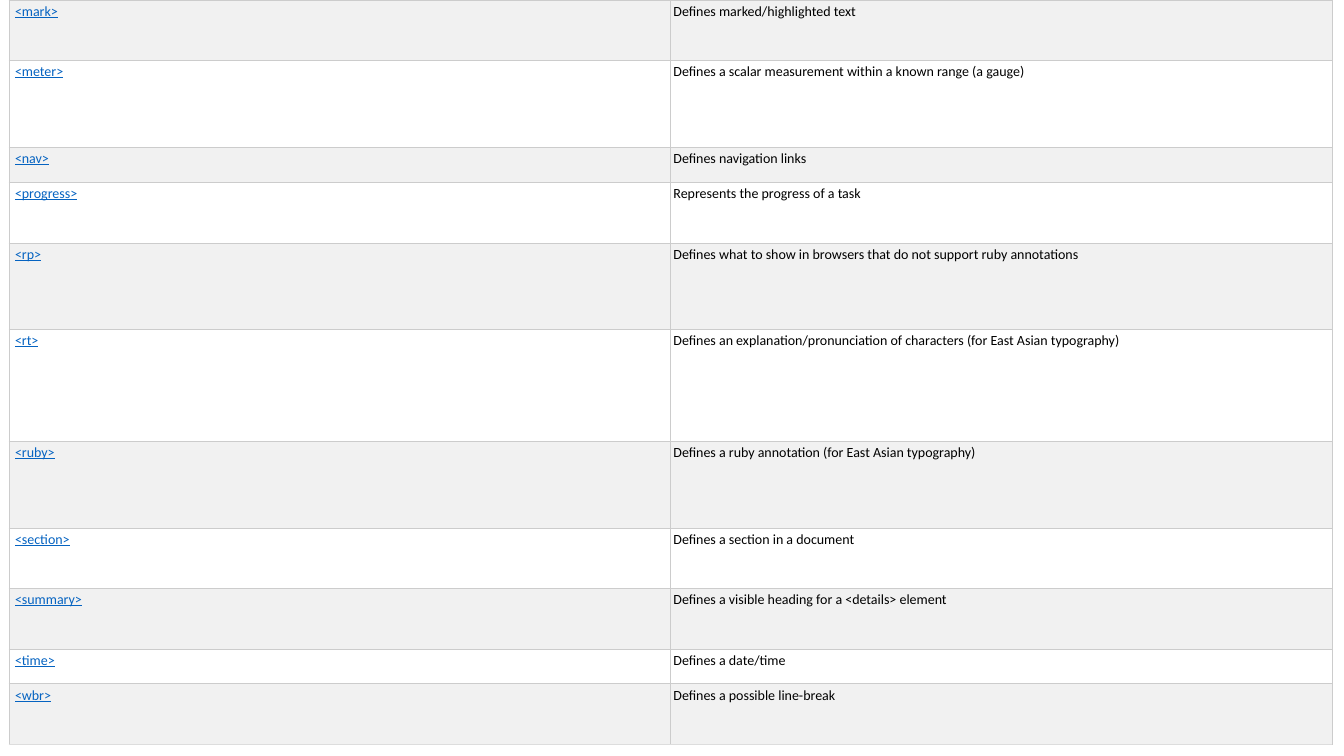
from lxml import etree
from pptx import Presentation
from pptx.dml.color import RGBColor
from pptx.enum.text import MSO_ANCHOR
from pptx.oxml.ns import qn
from pptx.util import Pt

TOP = MSO_ANCHOR.TOP
PIXEL = 914400 / 100.8
FONT = "Calibri"
COLORS = {
    "link": "0563C1",
    "text": "000000",
    "odd_row": "F1F1F1",
    "even_row": "FFFFFF",
    "border": "CCCCCC",
    "last_border": "DDDDDD",
}

# Tag, description, row height in pixels
TAGS = [
    ("<mark>", "Defines marked/highlighted text", 60),
    ("<meter>", "Defines a scalar measurement within a known range (a gauge)", 87),
    ("<nav>", "Defines navigation links", 35),
    ("<progress>", "Represents the progress of a task", 61),
    ("<rp>", "Defines what to show in browsers that do not support ruby annotations", 86),
    ("<rt>", "Defines an explanation/pronunciation of characters "
             "(for East Asian typography)", 112),
    ("<ruby>", "Defines a ruby annotation (for East Asian typography)", 87),
    ("<section>", "Defines a section in a document", 60),
    ("<summary>", "Defines a visible heading for a <details> element", 61),
    ("<time>", "Defines a date/time", 35),
    ("<wbr>", "Defines a possible line-break", 61),
]


def emu(pixels):
    return round(pixels * PIXEL)


def color(name):
    return RGBColor.from_string(COLORS[name])


def write_text(text_frame, text, *, size=10, ink="text", underline=False):
    run = text_frame.paragraphs[0].add_run()
    run.text = text
    run.font.name = FONT
    run.font.size = Pt(size)
    run.font.color.rgb = color(ink)
    run.font.underline = underline


def set_borders(cell, bottom):
    """Border lines must come before the fill in the cell properties."""
    properties = cell._tc.get_or_add_tcPr()
    sides = {"a:lnL": "border", "a:lnR": "border", "a:lnT": "border", "a:lnB": bottom}
    for index, (side, name) in enumerate(sides.items()):
        line = etree.Element(qn(side), w=str(Pt(0.5)))
        fill = etree.SubElement(line, qn("a:solidFill"))
        etree.SubElement(fill, qn("a:srgbClr"), val=COLORS[name])
        properties.insert(index, line)


def format_cell(cell, fill, bottom, left_margin):
    cell.fill.solid()
    cell.fill.fore_color.rgb = color(fill)
    cell.vertical_anchor = TOP
    cell.margin_left = emu(left_margin)
    cell.margin_top = cell.margin_right = cell.margin_bottom = emu(3)
    set_borders(cell, bottom)


def add_tag_table(slide, left, top, width):
    height = sum(row_height for _, _, row_height in TAGS)
    table = slide.shapes.add_table(
        len(TAGS), 2, emu(left), emu(top), emu(width), emu(height)).table
    for column in table.columns:
        column.width = emu(width / 2)

    for index, (tag, description, row_height) in enumerate(TAGS):
        table.rows[index].height = emu(row_height)
        fill = "even_row" if index % 2 else "odd_row"
        bottom = "last_border" if index == len(TAGS) - 1 else "border"
        tag_cell, description_cell = table.rows[index].cells
        format_cell(tag_cell, fill, bottom, left_margin=6)
        format_cell(description_cell, fill, bottom, left_margin=3)
        write_text(tag_cell.text_frame, tag, ink="link", underline=True)
        write_text(description_cell.text_frame, description)


presentation = Presentation()
presentation.slide_width = emu(1344)
presentation.slide_height = emu(756)
tag_slide = presentation.slides.add_slide(presentation.slide_layouts[6])
add_tag_table(tag_slide, left=9, top=0, width=1323)
presentation.save("out.pptx")
